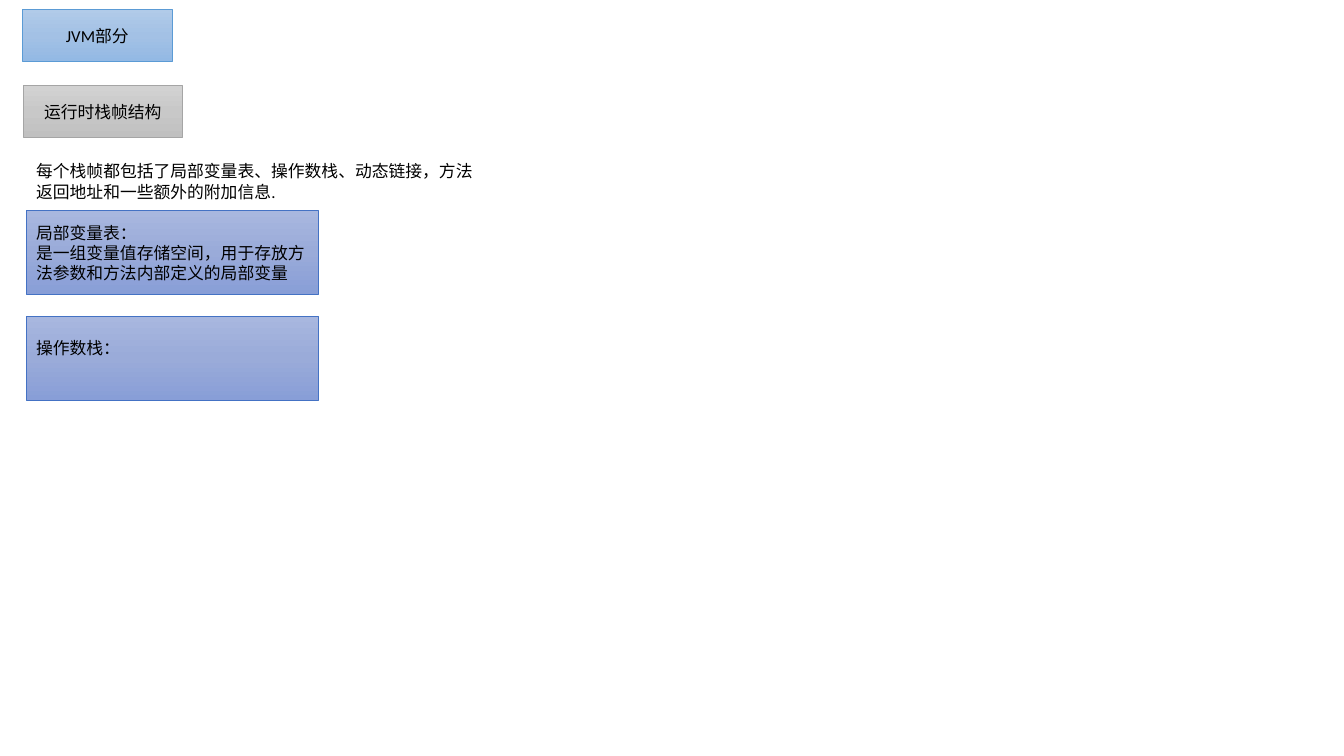
from copy import deepcopy

from pptx import Presentation
from pptx.dml.color import RGBColor
from pptx.enum.shapes import MSO_SHAPE
from pptx.enum.text import MSO_ANCHOR, MSO_AUTO_SIZE, PP_ALIGN
from pptx.oxml.ns import qn
from pptx.util import Inches, Pt

BLACK = RGBColor(0x00, 0x00, 0x00)
# Each palette: border colour, then gradient colours from top to bottom
BLUE = (RGBColor(0x5B, 0x9B, 0xD5),
        (RGBColor(0xB1, 0xCB, 0xE9), RGBColor(0xA3, 0xC1, 0xE5), RGBColor(0x93, 0xB9, 0xE4)))
GRAY = (RGBColor(0xA5, 0xA5, 0xA5),
        (RGBColor(0xD2, 0xD2, 0xD2), RGBColor(0xC8, 0xC8, 0xC8), RGBColor(0xC0, 0xC0, 0xC0)))
INDIGO = (RGBColor(0x44, 0x72, 0xC4),
          (RGBColor(0xA8, 0xB7, 0xDF), RGBColor(0x9A, 0xAB, 0xD9), RGBColor(0x88, 0x9E, 0xD7)))


class Page:
    """Holds the text style and the current slide."""

    font_name = "Calibri"
    font_size = Pt(12)

    def __init__(self, slide):
        """Keep the slide to draw on."""
        self.shapes = slide.shapes

    def set_text(self, frame, lines, align):
        """Put one paragraph per line into a text frame."""
        frame.word_wrap = True
        frame.text = "\n".join(lines)
        for paragraph in frame.paragraphs:
            paragraph.alignment = align
            paragraph.font.name = self.font_name
            paragraph.font.size = self.font_size
            paragraph.font.color.rgb = BLACK

    def shade(self, box, colors):
        """Fill a box with an even three-colour gradient, top to bottom."""
        box.fill.gradient()
        box.fill.gradient_angle = 270
        stop_list = box._element.spPr.find(qn("a:gradFill")).find(qn("a:gsLst"))
        stop_list.insert(1, deepcopy(stop_list[0]))
        for index, (stop, color) in enumerate(zip(box.fill.gradient_stops, colors)):
            stop.position = index / 2
            stop.color.rgb = color

    def box(self, left, top, width, height, palette, lines, align=PP_ALIGN.LEFT):
        """Add a shaded rectangle with text centred vertically."""
        box = self.shapes.add_shape(MSO_SHAPE.RECTANGLE, Inches(left), Inches(top),
                                    Inches(width), Inches(height))
        border, colors = palette
        box.shadow.inherit = False
        self.shade(box, colors)
        box.line.color.rgb = border
        box.line.width = Pt(0.5)
        box.text_frame.vertical_anchor = MSO_ANCHOR.MIDDLE
        self.set_text(box.text_frame, lines, align)
        return box

    def note(self, left, top, width, height, lines):
        """Add a plain text box."""
        note = self.shapes.add_textbox(Inches(left), Inches(top),
                                       Inches(width), Inches(height))
        self.set_text(note.text_frame, lines, PP_ALIGN.LEFT)
        note.text_frame.auto_size = MSO_AUTO_SIZE.SHAPE_TO_FIT_TEXT


deck = Presentation()
deck.slide_width, deck.slide_height = Inches(13.33), Inches(7.5)
page = Page(deck.slides.add_slide(deck.slide_layouts[6]))

page.box(0.22, 0.09, 1.49, 0.52, BLUE, ["JVM部分"], PP_ALIGN.CENTER)
page.box(0.23, 0.85, 1.58, 0.51, GRAY, ["运行时栈帧结构"], PP_ALIGN.CENTER)
page.note(0.26, 1.55, 4.59, 0.5,
          ["每个栈帧都包括了局部变量表、操作数栈、动态链接，方法返回地址和一些额外的附加信息."])
page.box(0.26, 2.09, 2.9, 0.83, INDIGO,
         ["局部变量表：", "是一组变量值存储空间，用于存放方法参数和方法内部定义的局部变量"])
operand_stack = page.box(0.26, 3.14, 2.9, 0.83, INDIGO, ["操作数栈："])
operand_stack.text_frame.margin_bottom = Inches(0.25)

deck.save("out.pptx")
